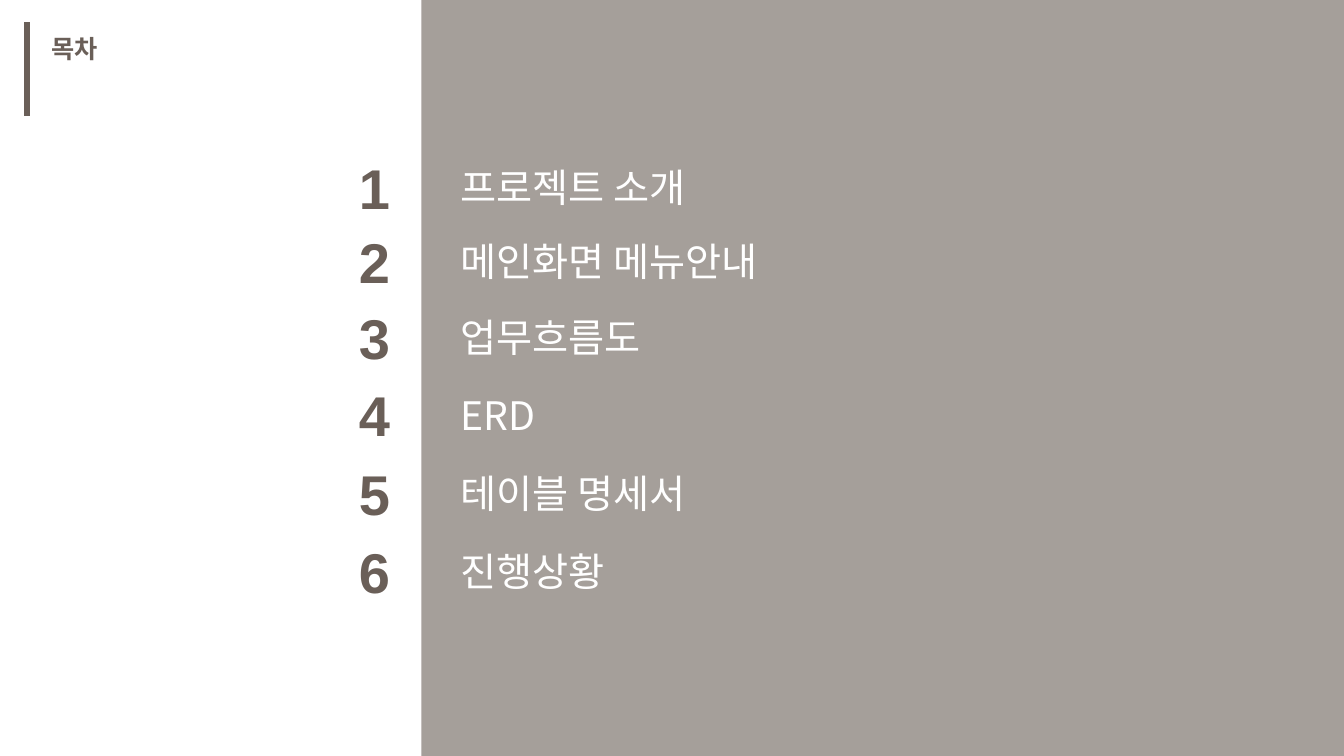
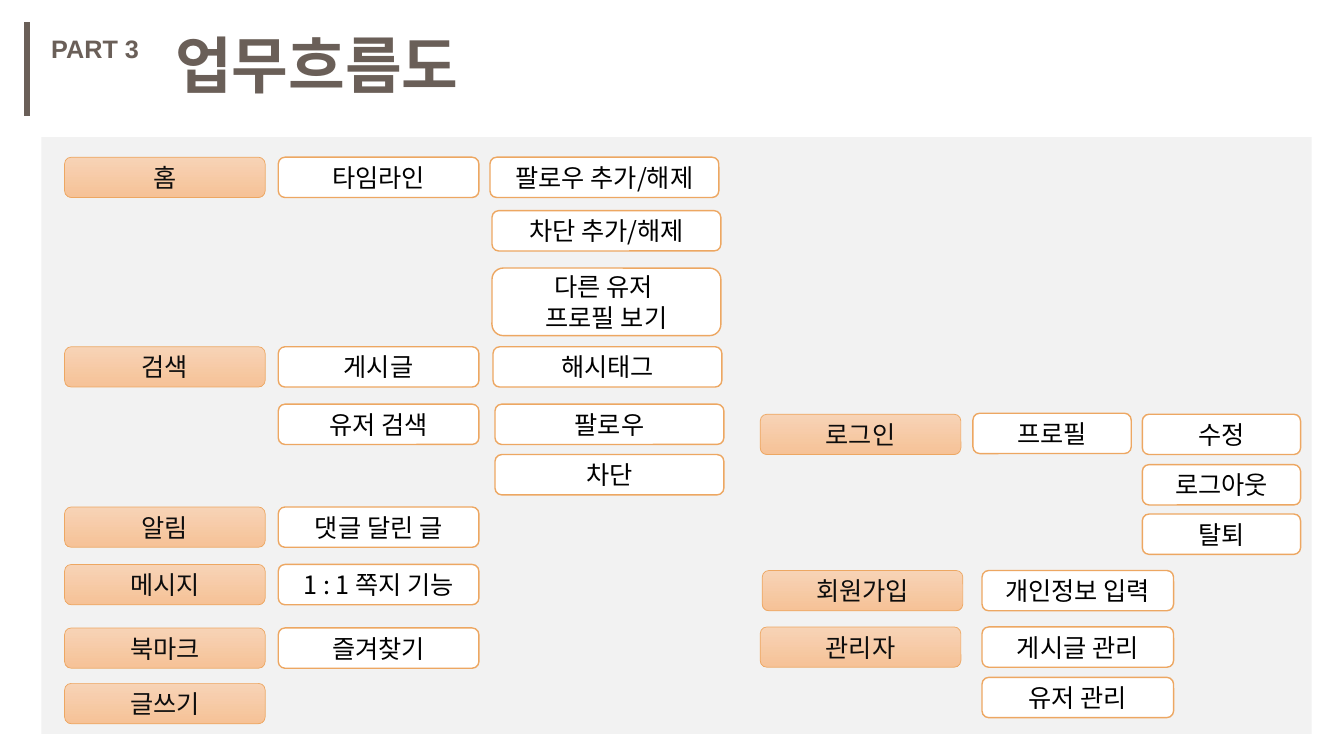
from lxml import etree
from pptx import Presentation, util as u
from pptx.dml.color import RGBColor
from pptx.enum import shapes, text
from pptx.oxml.ns import qn

KOREAN = "Noto Sans CJK KR"
LATIN = "Arial"
BROWN = "6A5F58"
WHITE = "FFFFFF"
BLACK = "000000"
NEAR_BLACK = "0D0D0D"
PANEL_GRAY = "F2F2F2"
ORANGE = "EDA762"
PEACH = ("F7D3B6", "F6C297")

AGENDA = [
    (1.47, "프로젝트 소개"),
    (2.21, "메인화면 메뉴안내"),
    (2.96, "업무흐름도"),
    (3.73, "ERD"),
    (4.51, "테이블 명세서"),
    (5.28, "진행상황"),
]

MENU_COLUMNS = [
    (0.64, [(1.56, "홈"), (3.44, "검색"), (5.03, "알림"), (5.6, "메시지"),
            (6.23, "북마크"), (6.78, "글쓰기")]),
    (7.54, [(4.11, "로그인"), (6.22, "관리자")]),
    (7.56, [(5.66, "회원가입")]),
]

FEATURE_COLUMNS = [
    (2.76, 1.99, [(1.56, "타임라인"), (3.44, "게시글"), (4.01, "유저 검색"),
                  (5.03, "댓글 달린 글"), (5.6, "1 : 1 쪽지 기능"), (6.23, "즐겨찾기")]),
    (4.86, 2.27, [(1.56, "팔로우 추가/해제")]),
    (4.88, 2.27, [(2.09, "차단 추가/해제"), (2.66, "다른 유저 \n프로필 보기")]),
    (4.89, 2.27, [(3.44, "해시태그")]),
    (4.91, 2.27, [(4.01, "팔로우"), (4.51, "차단")]),
    (9.65, 1.57, [(4.1, "프로필")]),
    (11.33, 1.57, [(4.11, "수정"), (4.61, "로그아웃"), (5.1, "탈퇴")]),
    (9.74, 1.9, [(5.66, "개인정보 입력"), (6.22, "게시글 관리"), (6.72, "유저 관리")]),
]


def rgb(value):
    return RGBColor.from_string(value)


def write_text(frame, content, size=18, color=BLACK, font=KOREAN, bold=False,
               align=text.PP_ALIGN.LEFT, anchor=text.MSO_ANCHOR.TOP):
    frame.text = content
    frame.vertical_anchor = anchor
    for paragraph in frame.paragraphs:
        paragraph.alignment = align
        for run in paragraph.runs:
            run.font.size = u.Pt(size)
            run.font.bold = bold
            run.font.name = font
            run.font.color.rgb = rgb(color)
            east_asian = etree.SubElement(run.font._element, qn("a:ea"))
            east_asian.set("typeface", font)


class Deck:
    def __init__(self):
        self.presentation = Presentation()
        self.presentation.slide_width = u.Inches(13.33)
        self.presentation.slide_height = u.Inches(7.5)
        self.slide = None

    def add_slide(self):
        self.slide = self.presentation.slides.add_slide(self.presentation.slide_layouts[6])

    def shape(self, kind, left, top, width, height):
        shape = self.slide.shapes.add_shape(
            kind, *map(u.Inches, (left, top, width, height)))
        shape.shadow.inherit = False
        return shape

    def panel(self, left, top, width, height, color, opacity=100):
        shape = self.shape(shapes.MSO_SHAPE.RECTANGLE, left, top, width, height)
        shape.fill.solid()
        shape.fill.fore_color.rgb = rgb(color)
        shape.line.fill.background()
        if opacity < 100:
            color_element = shape._element.spPr.find(f".//{qn('a:srgbClr')}")
            etree.SubElement(color_element, qn("a:alpha")).set("val", str(opacity * 1000))

    def label(self, left, top, width, height, content, wrap=False, **style):
        box = self.slide.shapes.add_textbox(
            *map(u.Inches, (left, top, width, height)))
        box.text_frame.word_wrap = wrap
        box.text_frame.auto_size = text.MSO_AUTO_SIZE.SHAPE_TO_FIT_TEXT
        write_text(box.text_frame, content, **style)

    def heading(self, content, width, font):
        bar = self.slide.shapes.add_connector(
            shapes.MSO_CONNECTOR.STRAIGHT,
            *map(u.Inches, (0.27, 0.22, 0.27, 1.15)))
        bar.line.color.rgb = rgb(BROWN)
        bar.line.width = u.Pt(4.5)
        etree.SubElement(bar._element.spPr, qn("a:effectLst"))
        self.label(0.41, 0.28, width, 0.4, content, color=BROWN, font=font, bold=True)

    def flow_box(self, left, top, width, content, menu=False):
        height = 0.67 if "\n" in content else 0.4
        shape = self.shape(shapes.MSO_SHAPE.ROUNDED_RECTANGLE, left, top, width, height)
        if menu:
            shape.fill.gradient()
            shape.fill.gradient_angle = 270
            for stop, color in zip(shape.fill.gradient_stops, PEACH):
                stop.color.rgb = rgb(color)
        else:
            shape.fill.solid()
            shape.fill.fore_color.rgb = rgb(WHITE)
        shape.line.color.rgb = rgb(ORANGE)
        shape.line.width = u.Pt(0.5 if menu else 1)
        shape.text_frame.word_wrap = True
        write_text(shape.text_frame, content, color=NEAR_BLACK if menu else BLACK,
                   align=text.PP_ALIGN.CENTER, anchor=text.MSO_ANCHOR.MIDDLE)


def build_contents(deck):
    deck.add_slide()
    deck.panel(4.18, 0, 9.15, 7.5, BROWN, opacity=60)
    deck.heading("목차", 0.7, KOREAN)
    for number, (top, title) in enumerate(AGENDA, 1):
        deck.label(3.46, top, 0.51, 0.77, str(number),
                   size=40, color=BROWN, font=LATIN, bold=True)
        deck.label(4.47, top + 0.1, 3.81, 0.57, title, wrap=True, size=28, color=WHITE)


def build_workflow(deck):
    deck.add_slide()
    deck.panel(0.41, 1.36, 12.6, 5.92, PANEL_GRAY)
    deck.heading("PART 3", 1.08, LATIN)
    deck.label(1.64, 0.22, 3.23, 0.84, "업무흐름도", size=44, color=BROWN, bold=True)
    for left, boxes in MENU_COLUMNS:
        for top, content in boxes:
            deck.flow_box(left, top, 1.99, content, menu=True)
    for left, width, boxes in FEATURE_COLUMNS:
        for top, content in boxes:
            deck.flow_box(left, top, width, content)


def main():
    deck = Deck()
    build_contents(deck)
    build_workflow(deck)
    deck.presentation.save("out.pptx")


if __name__ == "__main__":
    main()
